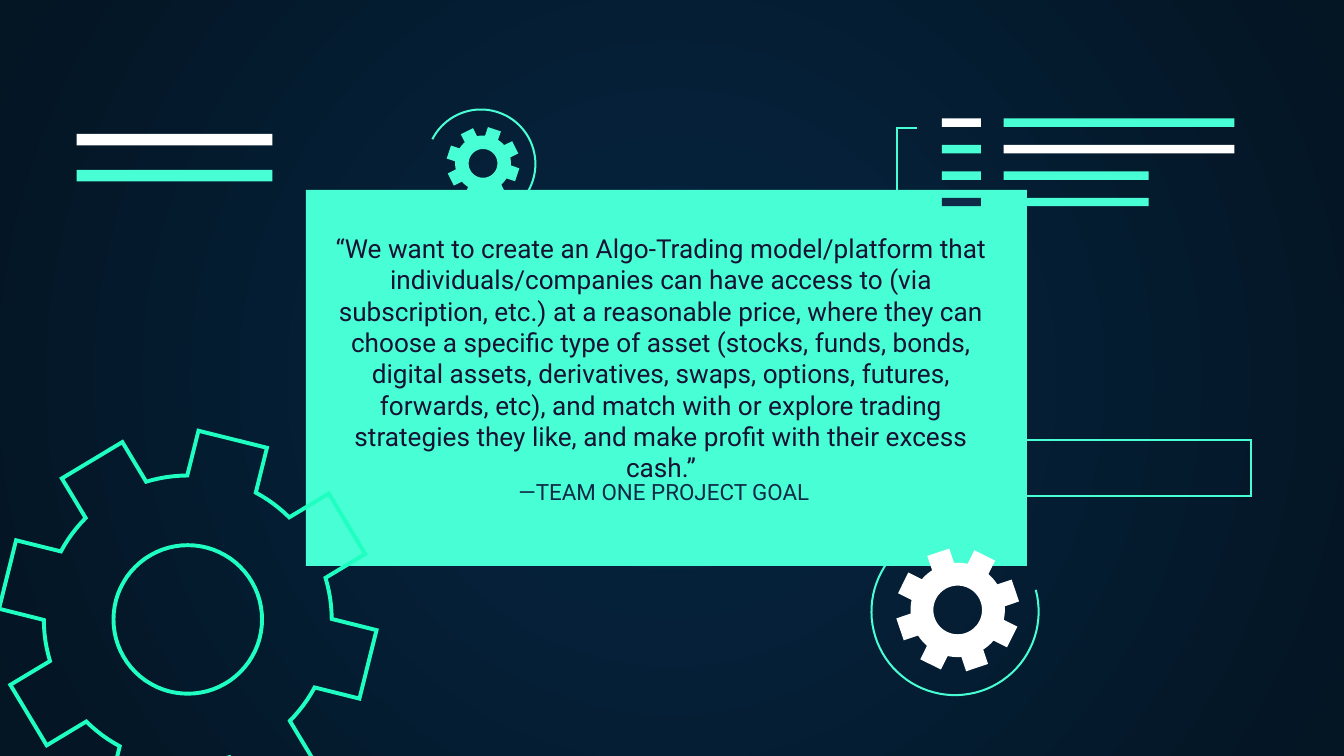
from math import asin, cos, degrees, hypot, radians, sin, atan2

from lxml.etree import SubElement
from pptx import Presentation
from pptx.dml.color import RGBColor
from pptx.enum.shapes import MSO_SHAPE as Shape
from pptx.enum.text import MSO_ANCHOR as Anchor, MSO_AUTO_SIZE as AutoSize, PP_ALIGN as Align
from pptx.oxml.ns import qn
from pptx.util import Cm, Pt

COLORS = {"center": "052643", "edge": "041523", "mint": "48FFD5", "neon": "1EFFC1",
          "white": "FFFFFF", "navy": "0E2A47", "ink": "161234"}
FONT = "Roboto"

QUOTE = ("“We want to create an Algo-Trading model/platform that individuals/companies can have "
         "access to (via subscription, etc.) at a reasonable price, where they can choose a specific "
         "type of asset (stocks, funds, bonds, digital assets, derivatives, swaps, options, futures, "
         "forwards, etc), and match with or explore trading strategies they like, and make profit "
         "with their excess cash.”")
TITLE = "—TEAM ONE PROJECT GOAL"

# All lengths below are centimetres, all angles are degrees clockwise from the top.
CARD = (5.78, 3.59, 13.63, 7.11)
TITLE_AREA = (7.65, 4.42, 9.8, 5.38)
QUOTE_AREA = (5.84, 4.14, 13.31, 5.38)
OUTLINE_BOX = (18.29, 8.32, 5.35, 1.06)
BRACKET = [(17.33, 3.95), (16.95, 3.95), (16.95, 2.42), (17.33, 2.42)]

# center, radius, first angle, last angle
ARCS = [((9.09, 3.1), 1.03, -63, 186), ((18.05, 11.56), 1.58, 75, 323)]

# center, radius, angle of the first tooth, fill, line
GEARS = [((3.55, 11.71), 3.51, 14, None, "neon"),
         ((18.1, 11.53), 1.15, -18.6, "white", None),
         ((9.13, 3.09), 0.68, 18.4, "mint", None)]
TEETH = 8
BODY, HALF_TOOTH, HUB = 0.775, 0.19, 0.4  # shares of the gear radius

# left, top, row pitch, bar height, then (width, color) for each row
BAR_STACKS = [
    (17.8, 2.24, 0.5, 0.16, [(0.74, "white"), (0.74, "mint"), (0.74, "mint"), (0.74, "navy")]),
    (18.97, 2.24, 0.5, 0.16, [(4.36, "mint"), (4.36, "white"), (2.74, "mint"), (2.74, "mint")]),
    (1.45, 2.53, 0.68, 0.22, [(3.7, "white"), (3.7, "mint")]),
]


def rgb(name):
    return RGBColor.from_string(COLORS[name])


def paint(shape, fill=None, line=None, width=1.09):
    shape.shadow.inherit = False
    if fill:
        shape.fill.solid()
        shape.fill.fore_color.rgb = rgb(fill)
    else:
        shape.fill.background()
    if line:
        shape.line.color.rgb = rgb(line)
        shape.line.width = Pt(width)
        outline = shape._element.spPr.find(qn("a:ln"))
        SubElement(outline, qn("a:miter"), lim="800000")
    else:
        shape.line.fill.background()


def add_box(slide, area, **colors):
    paint(slide.shapes.add_shape(Shape.RECTANGLE, *map(Cm, area)), **colors)


def polar(center, radius, angle):
    turn = radians(angle)
    return center[0] + radius * sin(turn), center[1] - radius * cos(turn)


def arc(center, radius, first, last, steps):
    return [polar(center, radius, first + (last - first) * step / steps)
            for step in range(steps + 1)]


def add_outline(slide, contours, closed=True, **colors):
    """Draw one freeform made of several point lists."""
    contours = [[(Cm(x), Cm(y)) for x, y in points] for points in contours]
    builder = slide.shapes.build_freeform(*contours[0][0])
    for index, points in enumerate(contours):
        if index:
            builder.move_to(*points[0])
        builder.add_line_segments(points[1:], close=closed)
    paint(builder.convert_to_shape(), **colors)


def add_gear(slide, center, radius, first_angle, fill, line):
    step = 360 / TEETH
    root = degrees(asin(HALF_TOOTH / BODY))
    tip = degrees(atan2(HALF_TOOTH, 1))
    tip_radius = radius * hypot(1, HALF_TOOTH)
    rim = []
    for tooth in range(TEETH):
        angle = first_angle + tooth * step
        rim += [polar(center, tip_radius, angle - tip), polar(center, tip_radius, angle + tip)]
        rim += arc(center, radius * BODY, angle + root, angle + step - root, 6)
    hub = arc(center, radius * HUB, 360, 0, 72)
    add_outline(slide, [rim, hub], fill=fill, line=line, width=2.1)


def write(shape, text, size, color, anchor):
    frame = shape.text_frame
    margins = dict.fromkeys(("margin_left", "margin_top", "margin_right", "margin_bottom"), Cm(0.25))
    layout = {"word_wrap": True, "auto_size": AutoSize.NONE, "vertical_anchor": anchor, **margins}
    for name, value in layout.items():
        setattr(frame, name, value)
    para = frame.paragraphs[0]
    para.alignment = Align.CENTER
    span = para.add_run()
    span.text = text
    for name, value in {"name": FONT, "size": Pt(size), "bold": False}.items():
        setattr(span.font, name, value)
    span.font.color.rgb = rgb(color)


def set_background(slide):
    """Fill the page with a gradient that runs out from its middle."""
    fill = slide.background.fill
    fill.gradient()
    for stop, name, position in zip(fill.gradient_stops, ("center", "edge"), (0, 1)):
        stop.color.rgb = rgb(name)
        stop.position = position
    gradient = slide._element.find(".//" + qn("a:gradFill"))
    gradient.remove(gradient.find(qn("a:lin")))
    circle = SubElement(gradient, qn("a:path"), path="circle")
    SubElement(circle, qn("a:fillToRect"), dict.fromkeys("ltrb", "50000"))


def main():
    deck = Presentation()
    deck.slide_width, deck.slide_height = Cm(25.4), Cm(14.29)
    page = deck.slides.add_slide(deck.slide_layouts[5])
    set_background(page)

    add_box(page, CARD, fill="mint")
    for sweep in ARCS:
        add_outline(page, [arc(*sweep, 60)], closed=False, line="mint")
    for gear in GEARS:
        add_gear(page, *gear)
    for left, top, pitch, height, bars in BAR_STACKS:
        for row, (width, color) in enumerate(bars):
            add_box(page, (left, top + row * pitch, width, height), fill=color)
    add_outline(page, [BRACKET], closed=False, line="mint")
    add_box(page, OUTLINE_BOX, line="mint")

    title = page.shapes.title
    for name, value in zip(("left", "top", "width", "height"), TITLE_AREA):
        setattr(title, name, Cm(value))
    write(title, TITLE, 12, "navy", Anchor.BOTTOM)
    page.shapes._spTree.append(title._element)
    write(page.shapes.add_textbox(*map(Cm, QUOTE_AREA)), QUOTE, 14, "ink", Anchor.TOP)

    deck.save("out.pptx")


if __name__ == "__main__":
    main()
